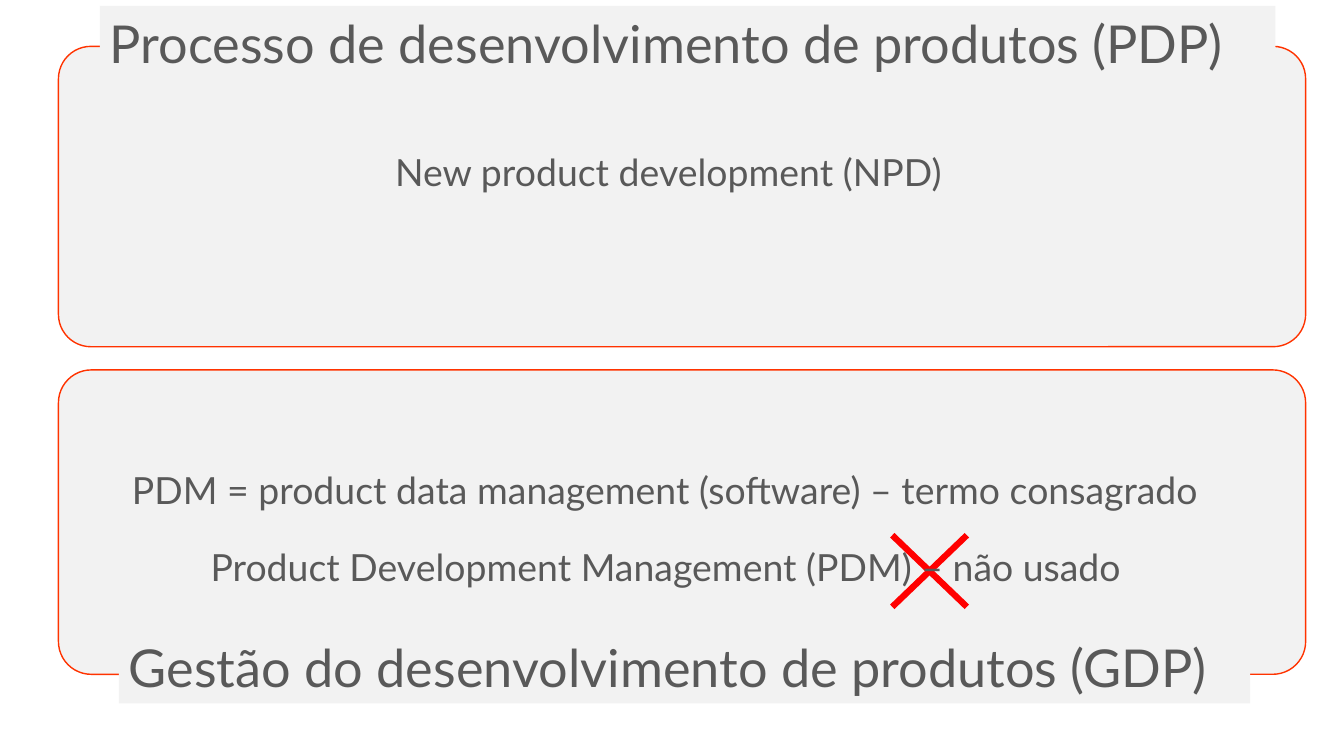
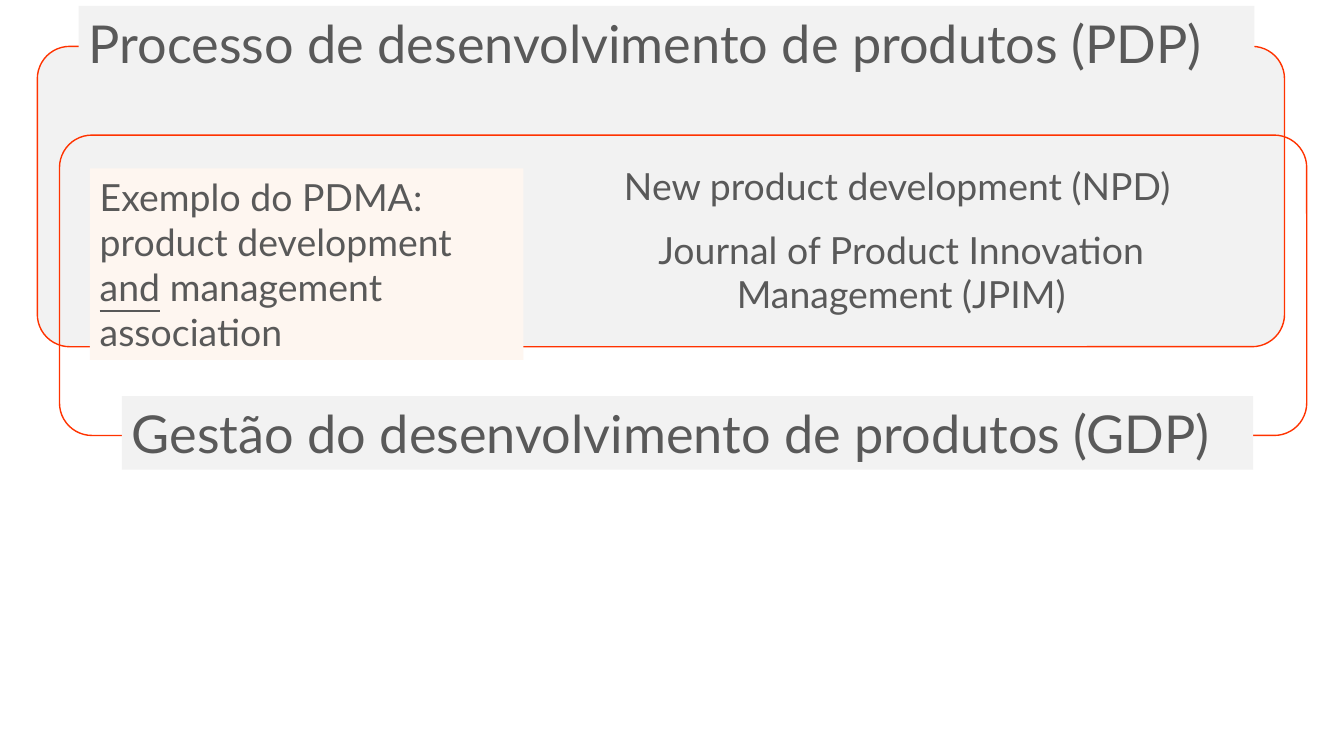
"""Build two slides that relate product development terms to each other."""
import pptx
import pptx.dml.color
import pptx.enum.shapes
import pptx.enum.text
import pptx.oxml
import pptx.oxml.ns
import pptx.util

WIDTH = pptx.util.Inches(13.33)
HEIGHT = pptx.util.Inches(7.5)
COLORS = {
    "text": "595959",
    "panel": "F2F2F2",
    "outline": "FF3300",
    "example": "FEF6F0",
    "cross": "FF0000",
}
FORMATS = {
    "title": {"name": "Lato", "size": pptx.util.Pt(37.3)},
    "body": {"name": "Lato", "size": pptx.util.Pt(26.7)},
}
PROCESS = "Processo de desenvolvimento de produtos (PDP)"
MANAGEMENT = "Gestão do desenvolvimento de produtos (GDP)"
NEW_PRODUCT = "New product development (NPD)"
TITLE_WIDTHS = {PROCESS: 87.47, MANAGEMENT: 84.17}
TITLE_HEIGHT = 9.73
LINE_HEIGHT = 7.33
PANEL_WIDTH = 92.8
PANEL_HEIGHT = 39.73
PANEL_TOP = 6.13
TITLE_TOP = 0.8
TITLE_INDENT = 3.08


def across(percent):
    return round(WIDTH * percent / 100)


def down(percent):
    return round(HEIGHT * percent / 100)


def place(left, top, width, height):
    return across(left), down(top), across(width), down(height)


def color(name):
    return pptx.dml.color.RGBColor.from_string(COLORS[name])


def write(shape, runs, style, anchor="TOP", alignment="LEFT"):
    frame = shape.text_frame
    frame.word_wrap = True
    frame.vertical_anchor = getattr(pptx.enum.text.MSO_ANCHOR, anchor)
    paragraph = frame.paragraphs[0]
    paragraph.alignment = getattr(pptx.enum.text.PP_ALIGN, alignment)
    for text, underlined in runs:
        run = paragraph.add_run()
        run.text = text
        for attribute, value in FORMATS[style].items():
            setattr(run.font, attribute, value)
        run.font.underline = underlined
        run.font.color.rgb = color("text")


def add_panel(slide, left, top=PANEL_TOP, height=PANEL_HEIGHT, filled=True):
    shape = slide.shapes.add_shape(
        pptx.enum.shapes.MSO_SHAPE.ROUNDED_RECTANGLE,
        *place(left, top, PANEL_WIDTH, height))
    shape.adjustments[0] = 0.108
    shape.shadow.inherit = False
    if filled:
        shape.fill.solid()
        shape.fill.fore_color.rgb = color("panel")
    else:
        shape.fill.background()
    shape.line.color.rgb = color("outline")
    shape.line.width = pptx.util.Pt(1)


def add_label(slide, box, runs, style, fill):
    shape = slide.shapes.add_shape(
        pptx.enum.shapes.MSO_SHAPE.RECTANGLE, *place(*box))
    shape.shadow.inherit = False
    shape.fill.solid()
    shape.fill.fore_color.rgb = color(fill)
    shape.line.fill.background()
    write(shape, runs, style, anchor="MIDDLE")


def add_title(slide, left, top, text):
    box = (left, top, TITLE_WIDTHS[text], TITLE_HEIGHT)
    add_label(slide, box, [(text, False)], "title", "panel")


def add_process_panel(slide, left):
    add_panel(slide, left)
    add_title(slide, left + TITLE_INDENT, TITLE_TOP, PROCESS)


def add_text(slide, left, top, width, text, height=LINE_HEIGHT, alignment="LEFT"):
    shape = slide.shapes.add_textbox(*place(left, top, width, height))
    write(shape, [(text, False)], "body", alignment=alignment)


def add_cross(slide, left, top, right, bottom):
    group = slide.shapes.add_group_shape()
    for start, end in ((top, bottom), (bottom, top)):
        line = group.shapes.add_connector(
            pptx.enum.shapes.MSO_CONNECTOR.STRAIGHT,
            across(left), down(start), across(right), down(end))
        line.line.color.rgb = color("cross")
        line.line.width = pptx.util.Pt(4.5)
        properties = line._element.spPr
        properties.append(pptx.oxml.parse_xml(
            "<a:effectLst %s/>" % pptx.oxml.ns.nsdecls("a")))


def build_terms(slide):
    left = 4.35
    add_process_panel(slide, left)
    add_panel(slide, left, top=48.93, height=40.27)
    add_title(slide, 8.85, 83.33, MANAGEMENT)
    add_text(slide, 28.66, 19.07, 42.69, NEW_PRODUCT)
    add_text(slide, 9.08, 61.2, 82.82,
             "PDM = product data management (software) – termo consagrado")
    add_cross(slide, 66.39, 70.8, 71.94, 80.27)
    add_text(slide, 14.93, 71.33, 71.64,
             "Product Development Management (PDM) – não usado")


def build_overlap(slide):
    add_process_panel(slide, 2.78)
    add_panel(slide, 4.43, top=17.87, filled=False)
    add_text(slide, 45.69, 20.93, 42.69, NEW_PRODUCT)
    example = [("Exemplo do PDMA: product development ", False),
               ("and", True), (" management association", False)]
    add_label(slide, (6.68, 22.27, 32.26, 25.33), example, "body", "example")
    add_text(slide, 41.34, 29.33, 51.46,
             "Journal of Product Innovation Management (JPIM)",
             height=13.33, alignment="CENTER")
    add_title(slide, 9.08, 52.4, MANAGEMENT)


def main():
    presentation = pptx.Presentation()
    presentation.slide_width = WIDTH
    presentation.slide_height = HEIGHT
    for build in (build_terms, build_overlap):
        build(presentation.slides.add_slide(presentation.slide_layouts[6]))
    presentation.save("out.pptx")


if __name__ == "__main__":
    main()
